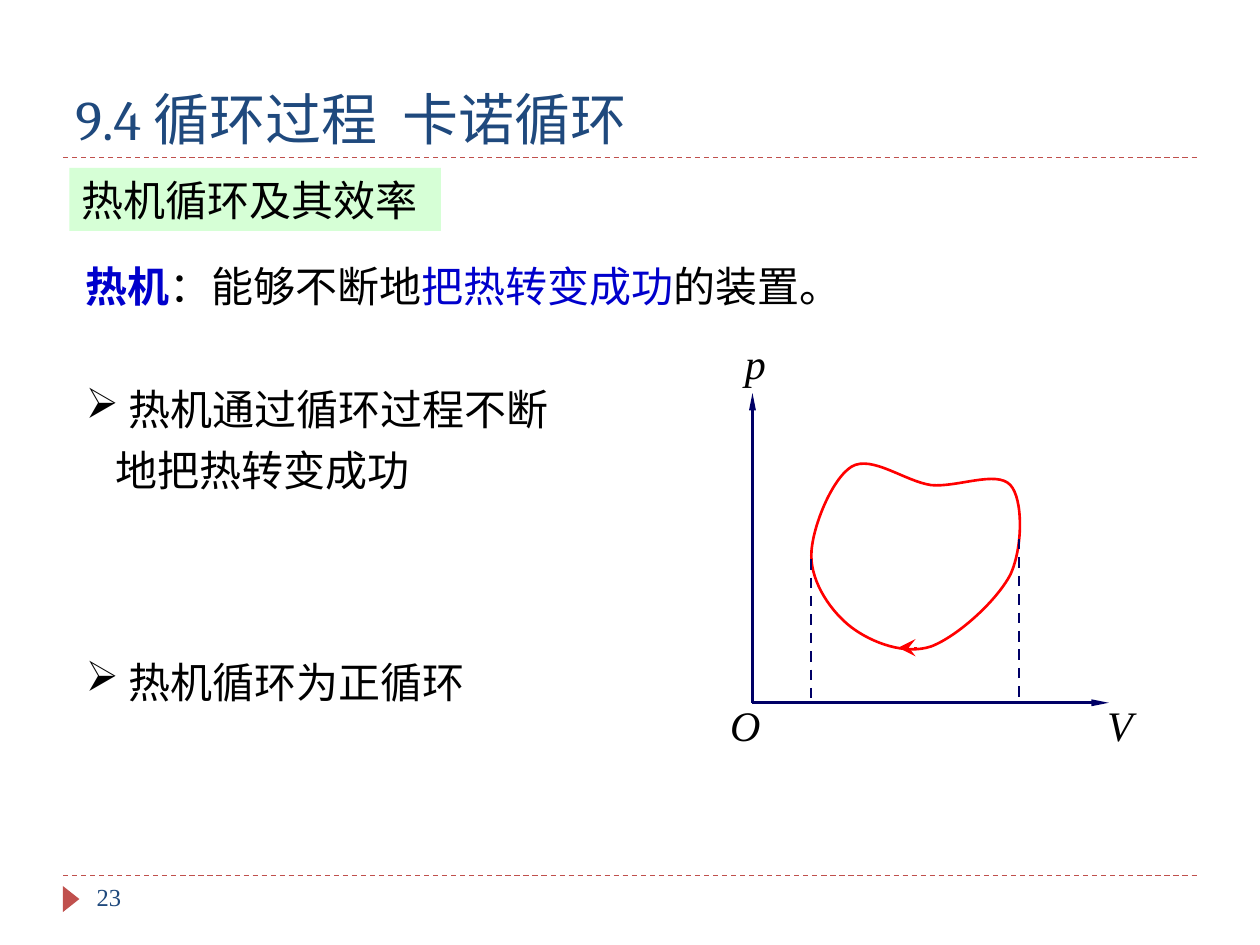
from dataclasses import dataclass

from lxml.etree import SubElement
from pptx import Presentation
from pptx.dml.color import RGBColor as RGB
from pptx.enum.dml import MSO_LINE_DASH_STYLE as Dash
from pptx.enum.shapes import MSO_CONNECTOR as Connector, MSO_SHAPE as Shape
from pptx.enum.text import MSO_ANCHOR as Anchor, PP_ALIGN as Align
from pptx.oxml.ns import qn
from pptx.util import Pt


@dataclass(frozen=True)
class Theme:
    heading: RGB = RGB(0x1F, 0x49, 0x7D)
    accent: RGB = RGB(0xC0, 0x50, 0x4D)
    band: RGB = RGB(0xCC, 0xFF, 0xCC)
    ink: RGB = RGB(0, 0, 0)
    keyword: RGB = RGB(0, 0, 0xCC)
    axis: RGB = RGB(0, 0, 0x66)
    cycle: RGB = RGB(0xFF, 0, 0)
    heading_font: str = "Cambria"
    body_font: str = "Times New Roman"
    bullet_font: str = "Wingdings"
    title_size: int = 32
    body_size: int = 24
    number_size: int = 14
    rule_width: float = 0.75
    plot_width: float = 1.5


THEME = Theme()

CYCLE_START = (463.6, 317.5)
# Two control points and an end point for each curve of the cycle
CYCLE_CURVES = [
    ((463.6, 302.4), (475.2, 273.6), (486.7, 266.6)),
    ((498.2, 259.9), (517, 275), (532.1, 277.2)),
    ((547.2, 278.6), (569.5, 268.6), (577.4, 277.2)),
    ((584.6, 285.1), (584.6, 312.5), (577.4, 328.3)),
    ((569.5, 343.4), (547.2, 363.6), (532.1, 369.4)),
    ((517, 374.4), (498.2, 367.2), (486.7, 358.6)),
    ((475.2, 349.9), (463.6, 333.4), CYCLE_START),
]


def add_run(paragraph, text, color=THEME.ink, size=THEME.body_size,
            face=THEME.body_font, bold=False, italic=False):
    run = paragraph.add_run()
    run.text = text
    font = run.font
    font.name, font.size = face, Pt(size)
    font.bold, font.italic = bold, italic
    font.color.rgb = color


def add_text(slide, left, top, width, height, anchor=Anchor.TOP, spacing=None):
    """Add an empty text box and return its first paragraph."""
    frame = slide.shapes.add_textbox(Pt(left), Pt(top), Pt(width), Pt(height)).text_frame
    frame.word_wrap = True
    frame.vertical_anchor = anchor
    paragraph = frame.paragraphs[0]
    if spacing:
        paragraph.line_spacing = spacing
    return paragraph


def add_bullet_text(slide, top, height, text):
    paragraph = add_text(slide, 42, top, 288, height, spacing=1.2)
    properties = paragraph._p.get_or_add_pPr()
    properties.set("marL", str(Pt(17)))
    properties.set("indent", str(-Pt(17)))
    SubElement(properties, qn("a:buFont"), typeface=THEME.bullet_font, charset="2")
    # Wingdings draws this letter as an arrowhead
    SubElement(properties, qn("a:buChar"), char="Ø")
    add_run(paragraph, text)


def add_axis_label(slide, left, top, width, text, tab=None):
    paragraph = add_text(slide, left, top, width, 32)
    frame = slide.shapes[-1].text_frame
    frame.margin_left = frame.margin_right = frame.margin_top = frame.margin_bottom = Pt(0.7)
    if tab:
        stops = SubElement(paragraph._p.get_or_add_pPr(), qn("a:tabLst"))
        SubElement(stops, qn("a:tab"), pos=str(Pt(tab)), algn="l")
    add_run(paragraph, text, italic=True)


def add_line(slide, start, end, color, width, dashed=False, head=None):
    """Add a straight line; head is (type, width, length) of an arrowhead at its end."""
    line = slide.shapes.add_connector(
        Connector.STRAIGHT, *(Pt(value) for value in (*start, *end)))
    line.line.color.rgb = color
    line.line.width = Pt(width)
    if dashed:
        line.line.dash_style = Dash.DASH
    if head:
        kind, breadth, length = head
        SubElement(line.line._get_or_add_ln(), qn("a:tailEnd"),
                   type=kind, w=breadth, len=length)
    SubElement(line._element.spPr, qn("a:effectLst"))


def add_filled_shape(slide, preset, left, top, width, height, color):
    shape = slide.shapes.add_shape(preset, Pt(left), Pt(top), Pt(width), Pt(height))
    shape.shadow.inherit = False
    shape.fill.solid()
    shape.fill.fore_color.rgb = color
    shape.line.fill.background()
    return shape


def add_section_band(slide, text):
    band = add_filled_shape(slide, Shape.RECTANGLE, 39.6, 96, 212.4, 36, THEME.band)
    color = band._element.spPr.find(f"{qn('a:solidFill')}/{qn('a:srgbClr')}")
    SubElement(color, qn("a:alpha"), val="80000")
    frame = band.text_frame
    frame.word_wrap = True
    frame.vertical_anchor = Anchor.MIDDLE
    paragraph = frame.paragraphs[0]
    paragraph.alignment = Align.LEFT
    add_run(paragraph, text)


def bend_segments(shape):
    """Turn every three line segments of a freeform into one cubic curve."""
    segments = list(shape._element.iter(qn("a:lnTo")))
    for first in range(0, len(segments), 3):
        curve = segments[first]
        parent = curve.getparent()
        bezier = SubElement(parent, qn("a:cubicBezTo"))
        curve.addprevious(bezier)
        for segment in segments[first:first + 3]:
            bezier.append(segment[0])
            parent.remove(segment)


def add_cycle(slide):
    x, y = CYCLE_START
    builder = slide.shapes.build_freeform(Pt(x), Pt(y))
    builder.add_line_segments(
        [(Pt(px), Pt(py)) for curve in CYCLE_CURVES for px, py in curve], close=True)
    cycle = builder.convert_to_shape()
    bend_segments(cycle)
    cycle.shadow.inherit = False
    cycle.fill.background()
    cycle.line.color.rgb = THEME.cycle
    cycle.line.width = Pt(THEME.plot_width)


def add_pv_diagram(slide):
    origin_x, origin_y = origin = (430, 401.6)
    add_axis_label(slide, 425, 192, 30, "p")
    add_axis_label(slide, 416.5, 399, 262, "O\tV", tab=215.5)
    for tip in ((633.6, origin_y), (origin_x, 224.6)):
        add_line(slide, origin, tip, THEME.axis, THEME.plot_width,
                 head=("triangle", "sm", "lg"))
    add_cycle(slide)
    for volume, top in ((463.5, 319.5), (582.2, 308)):
        add_line(slide, (volume, top), (volume, origin_y), THEME.axis,
                 THEME.plot_width, dashed=True)
    add_line(slide, (524, 370.1), (513.3, 370.1), THEME.cycle, THEME.rule_width,
             head=("stealth", "lg", "lg"))


def add_slide_frame(slide, title, number):
    for y in (500.4, 90):
        add_line(slide, (36, y), (684, y), THEME.accent, THEME.rule_width, dashed=True)
    marker = add_filled_shape(slide, Shape.ISOSCELES_TRIANGLE, 33.1, 509, 15, 9.5, THEME.accent)
    marker.rotation = 90
    add_run(add_text(slide, 36, 18, 648, 72, Anchor.BOTTOM), title,
            THEME.heading, THEME.title_size, THEME.heading_font)
    add_run(add_text(slide, 48.2, 500.4, 156, 29), number, THEME.heading, THEME.number_size)


def main():
    deck = Presentation()
    deck.slide_width, deck.slide_height = Pt(720), Pt(540)
    slide = deck.slides.add_slide(deck.slide_layouts[6])

    add_slide_frame(slide, "9.4 循环过程  卡诺循环", "23")
    add_section_band(slide, "热机循环及其效率")
    definition = add_text(slide, 42, 138, 486, 43, spacing=1.25)
    add_run(definition, "热机", THEME.keyword, bold=True)
    add_run(definition, "：能够不断地")
    add_run(definition, "把热转变成功", THEME.keyword)
    add_run(definition, "的装置。")
    add_bullet_text(slide, 210, 76, " 热机通过循环过程不断地把热转变成功")
    add_bullet_text(slide, 366, 42, " 热机循环为正循环")
    add_pv_diagram(slide)

    deck.save("out.pptx")


if __name__ == "__main__":
    main()
